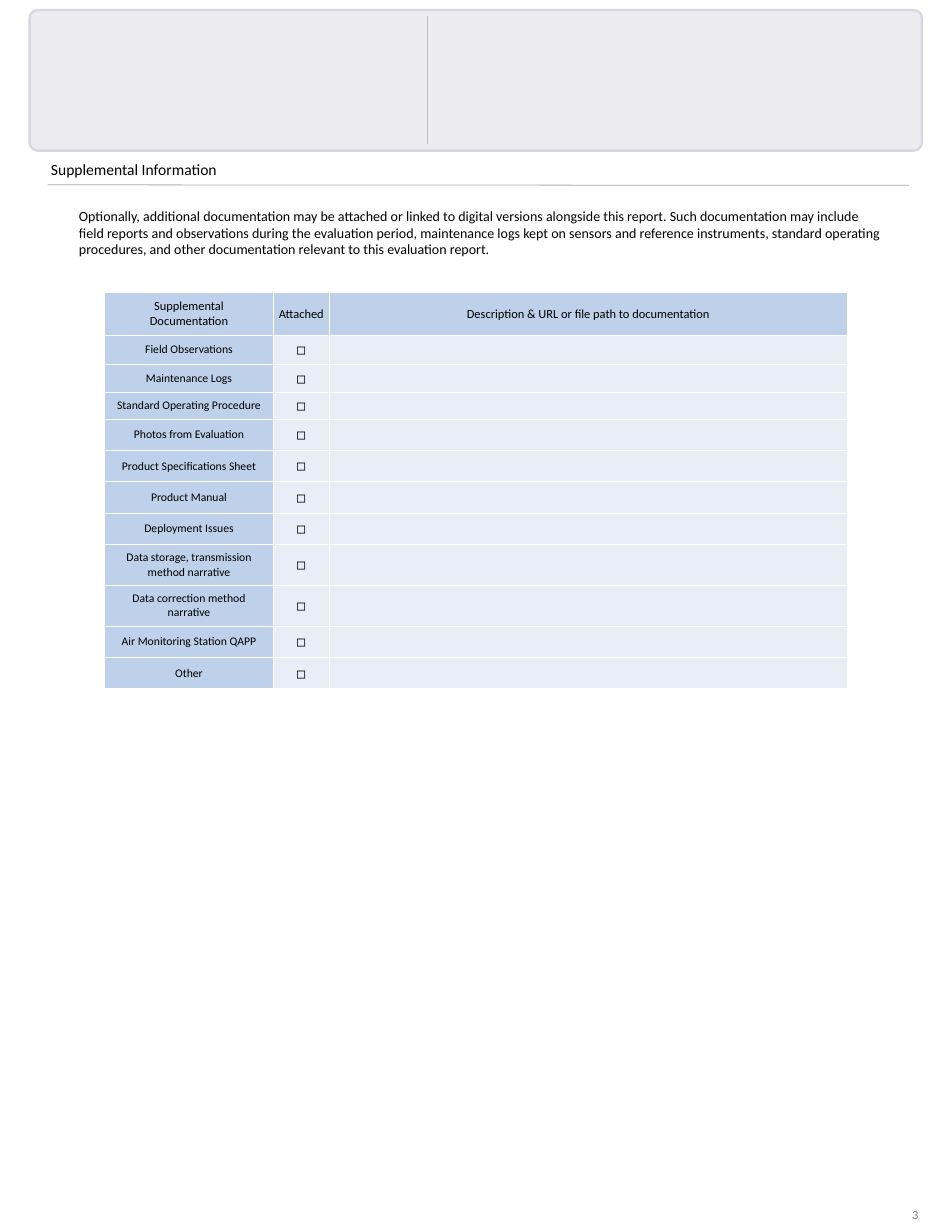
import pptx
import pptx.util
import pptx.dml.color
import pptx.enum.shapes
import pptx.enum.text
import pptx.oxml.ns
import lxml.etree

Inches = pptx.util.Inches
Pt = pptx.util.Pt
qn = pptx.oxml.ns.qn
ALIGN = pptx.enum.text.PP_ALIGN
ANCHOR = pptx.enum.text.MSO_ANCHOR


def paint(hue):
    return pptx.dml.color.RGBColor.from_string(hue)


def write(par, text, size, hue="000000", align=ALIGN.LEFT):
    par.alignment = align
    par.space_before = Pt(0)
    run = par.add_run()
    run.text = text
    run.font.name = "Calibri"
    run.font.size = Pt(size)
    run.font.color.rgb = paint(hue)


deck = pptx.Presentation()
deck.slide_width = Inches(17)
deck.slide_height = Inches(22)
slide = deck.slides.add_slide(deck.slide_layouts[1])
shapes = slide.shapes

# Header panel
panel = shapes.add_shape(pptx.enum.shapes.MSO_SHAPE.ROUNDED_RECTANGLE,
                         Inches(0.53), Inches(0.18), Inches(15.93), Inches(2.51))
panel.adjustments[0] = 0.055
panel.shadow.inherit = False
panel.fill.solid()
panel.fill.fore_color.rgb = paint("ECECF0")
panel.line.color.rgb = paint("D6D8E2")
panel.line.width = Pt(3)

# Panel divider and heading rule
for left, top, right, base, hue in [(7.63, 0.28, 7.63, 2.57, "BFBFBF"),
                                    (0.85, 3.3, 16.24, 3.31, "AFABAB")]:
    rule = shapes.add_connector(pptx.enum.shapes.MSO_CONNECTOR.STRAIGHT,
                                Inches(left), Inches(top), Inches(right), Inches(base))
    rule.line.color.rgb = paint(hue)
    rule.line.width = Pt(1)
    lxml.etree.SubElement(rule._element.spPr, qn("a:effectLst"))

# Heading, intro and page number
title = shapes.title
intro = slide.placeholders[1]
page = shapes.add_textbox(0, 0, 0, 0)
for box, left, top, width, height, text, size, hue in [
    (title, 0.81, 2.81, 5, 0.44, "Supplemental Information", 20, "000000"),
    (intro, 0.81, 3.65, 15.02, 1.28,
     "Optionally, additional documentation may be attached or linked to digital versions "
     "alongside this report. Such documentation may include field reports and observations "
     "during the evaluation period, maintenance logs kept on sensors and reference "
     "instruments, standard operating procedures, and other documentation relevant to this "
     "evaluation report.", 18, "000000"),
    (page, 16.19, 21.5, 0.81, 0.5, "3", 16, "808080"),
]:
    box.left, box.top = Inches(left), Inches(top)
    box.width, box.height = Inches(width), Inches(height)
    frame = box.text_frame
    frame.word_wrap = True
    frame.auto_size = pptx.enum.text.MSO_AUTO_SIZE.NONE
    frame.vertical_anchor = ANCHOR.TOP
    write(frame.paragraphs[0], text, size, hue)

props = intro.text_frame.paragraphs[0]._p.get_or_add_pPr()
props.set("marL", str(Inches(0.5)))
props.set("indent", "0")
lxml.etree.SubElement(props, qn("a:buNone"))

# Checklist table
heads = ["Supplemental Documentation", "Attached",
         "Description & URL or file path to documentation"]
items = ["Field Observations", "Maintenance Logs", "Standard Operating Procedure",
         "Photos from Evaluation", "Product Specifications Sheet", "Product Manual",
         "Deployment Issues", "Data storage, transmission method narrative",
         "Data correction method narrative", "Air Monitoring Station QAPP", "Other"]
rows = [heads] + [[item, "◻", ""] for item in items]
widths = [3.01, 1, 9.25]
heights = [0.52, 0.52, 0.5, 0.48] + [0.56] * 8

table = shapes.add_table(len(rows), len(widths), Inches(1.87), Inches(5.22),
                         Inches(sum(widths)), Inches(sum(heights))).table
table.first_row = False
table.horz_banding = False
for column, width in zip(table.columns, widths):
    column.width = Inches(width)
for row, height in zip(table.rows, heights):
    row.height = Inches(height)

for r, texts in enumerate(rows):
    for c, text in enumerate(texts):
        cell = table.cell(r, c)
        cell.vertical_anchor = ANCHOR.MIDDLE
        label = c == 0
        cell.margin_left = cell.margin_right = Inches(0.22 if label else 0.02)
        cell.margin_top = Inches(0.11 if label else 0.02)
        cell.margin_bottom = Inches(0.11 if label else 0)
        for side in ("a:lnL", "a:lnR", "a:lnT", "a:lnB"):
            edge = lxml.etree.SubElement(cell._tc.get_or_add_tcPr(), qn(side),
                                         w=str(Pt(1.5)))
            solid = lxml.etree.SubElement(edge, qn("a:solidFill"))
            lxml.etree.SubElement(solid, qn("a:srgbClr"), val="FFFFFF")
        cell.fill.solid()
        cell.fill.fore_color.rgb = paint("BFD0EB" if r == 0 or label else "E8EEF8")
        if text:
            size = 16 if r == 0 else 15 if label else 20
            write(cell.text_frame.paragraphs[0], text, size, align=ALIGN.CENTER)

deck.save("out.pptx")
